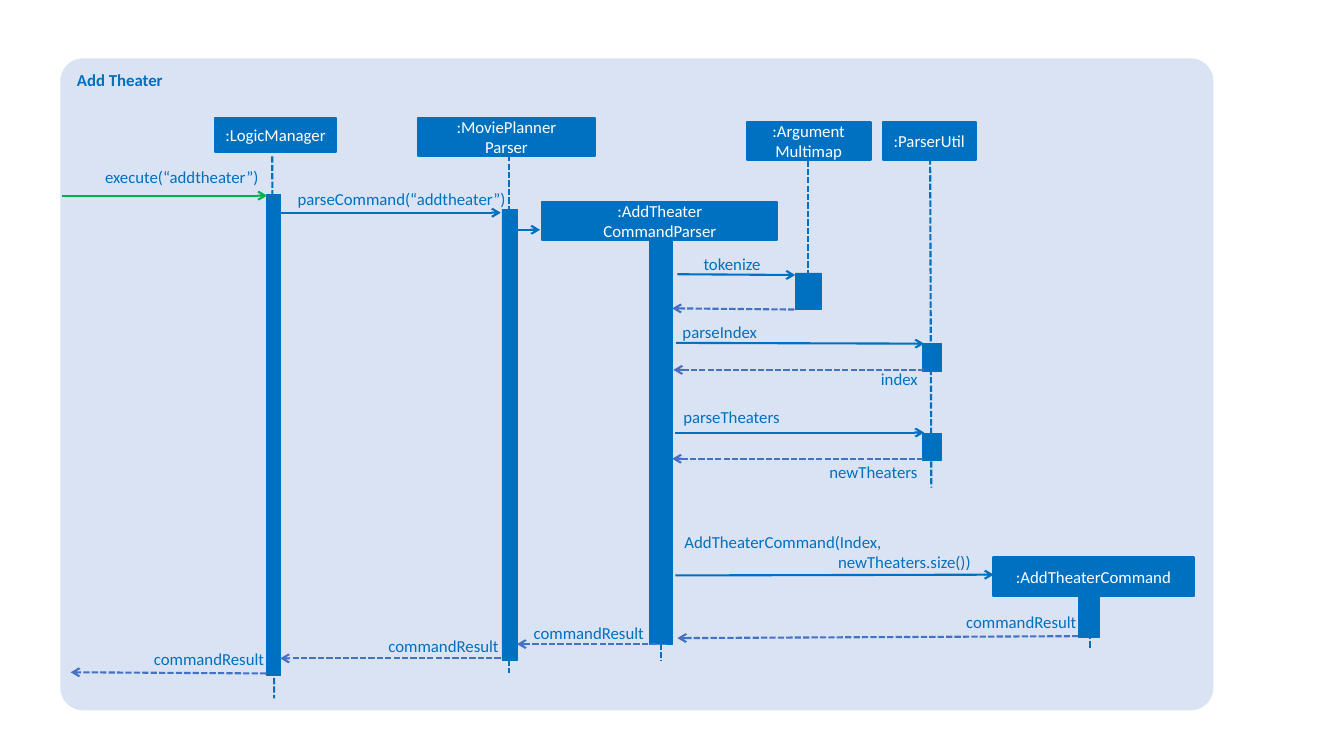
from dataclasses import dataclass

from lxml import etree
from pptx import Presentation
from pptx.dml.color import RGBColor
from pptx.enum.dml import MSO_LINE
from pptx.enum.shapes import MSO_CONNECTOR, MSO_SHAPE
from pptx.enum.text import MSO_ANCHOR, PP_ALIGN
from pptx.oxml.ns import qn
from pptx.util import Cm, Pt

BLUE, RETURN_BLUE, GREEN = "0070C0", "4472C4", "00B050"
PANEL, WHITE = "DAE3F3", "FFFFFF"
LEFT, CENTER, RIGHT = PP_ALIGN.LEFT, PP_ALIGN.CENTER, PP_ALIGN.RIGHT


@dataclass
class Box:
    """A filled rectangle in cm: a participant, or a bare activation bar."""
    x: float
    y: float
    w: float
    h: float
    text: str = ""


@dataclass
class Link:
    """A straight line in cm between two points."""
    x1: float
    y1: float
    x2: float
    y2: float
    color: str = BLUE


@dataclass
class Label:
    """A message caption in cm; second_indent shifts its second line."""
    x: float
    y: float
    w: float
    text: str
    align: PP_ALIGN = LEFT
    second_indent: float = 0


LIFELINES = [
    Link(6.86, 3.94, 6.91, 17.6),
    Link(12.83, 3.91, 12.83, 16.97),
    Link(16.66, 6.88, 16.66, 16.64),
    Link(20.37, 4.04, 20.37, 6.88),
    Link(23.44, 3.78, 23.47, 12.29),
    Link(27.46, 14.68, 27.46, 16.33),
]
ACTIVATIONS = [
    Box(6.71, 4.9, 0.36, 12.12),
    Box(12.65, 5.28, 0.38, 11.35),
    Box(16.36, 6.02, 0.58, 10.21),
    Box(20.04, 6.88, 0.66, 0.91),
    Box(23.24, 8.66, 0.48, 0.69),
    Box(23.24, 10.92, 0.48, 0.69),
    Box(27.18, 15.01, 0.53, 1.04),
]
PARTICIPANTS = [
    Box(5.41, 2.97, 3.07, 0.86, ":LogicManager"),
    Box(10.54, 2.97, 4.45, 0.97, ":MoviePlanner\nParser"),
    Box(13.67, 5.08, 5.92, 0.97, ":AddTheater\nCommandParser"),
    Box(18.82, 3.07, 3.12, 0.97, ":Argument\nMultimap"),
    Box(22.25, 3.07, 2.34, 0.97, ":ParserUtil"),
    Box(25.02, 14.05, 5.08, 0.97, ":AddTheaterCommand"),
]
CALLS = [
    Link(1.55, 4.93, 6.73, 4.93, GREEN),
    Link(6.91, 5.36, 12.62, 5.36),
    Link(13.03, 5.79, 13.61, 5.79),
    Link(17.07, 6.91, 20.04, 6.93),
    Link(17.04, 8.64, 23.29, 8.66),
    Link(17.02, 10.9, 23.29, 10.9),
    Link(17.02, 14.5, 25.04, 14.48),
]
RETURNS = [
    Link(20.02, 7.8, 16.94, 7.77, RETURN_BLUE),
    Link(23.29, 9.32, 16.97, 9.32, RETURN_BLUE),
    Link(23.27, 11.56, 16.94, 11.56, RETURN_BLUE),
    Link(27.18, 16.03, 17.07, 16.08, RETURN_BLUE),
    Link(16.54, 16.23, 13.03, 16.23, RETURN_BLUE),
    Link(12.62, 16.59, 7.06, 16.59, RETURN_BLUE),
    Link(6.71, 16.97, 1.78, 16.94, RETURN_BLUE),
]
LABELS = [
    Label(1.47, 4.19, 5.05, "execute(“addtheater”)", RIGHT),
    Label(6.4, 4.75, 6.35, "parseCommand(“addtheater”)", RIGHT),
    Label(17.73, 6.4, 2.84, "tokenize"),
    Label(17.2, 8.1, 2.84, "parseIndex"),
    Label(22.2, 9.3, 2.84, "index"),
    Label(17.22, 10.26, 2.84, "parseTheaters"),
    Label(20.9, 11.63, 2.84, "newTheaters"),
    Label(17.25, 13.39, 7.9, "AddTheaterCommand(Index,\nnewTheaters.size())",
          second_indent=3.87),
    Label(23.19, 15.42, 3.94, "commandResult", RIGHT),
    Label(13.36, 15.7, 2.87, "commandResult", RIGHT),
    Label(9.6, 16.03, 2.97, "commandResult", RIGHT),
    Label(3.05, 16.36, 3.61, "commandResult", RIGHT),
]


def rgb(color: str) -> RGBColor:
    """Turn a hex string into a colour."""
    return RGBColor.from_string(color)


def write(frame, text: str, color: str, align: PP_ALIGN, bold: bool = False) -> None:
    """Fill a text frame, one paragraph for each line of text."""
    frame.word_wrap = True
    frame.text = text
    for paragraph in frame.paragraphs:
        paragraph.alignment = align
        font = paragraph.runs[0].font
        font.name, font.size, font.bold = "Calibri", Pt(12), bold
        font.color.rgb = rgb(color)


def clear_insets(frame) -> None:
    """Remove the inner margins of a text frame."""
    frame.margin_left = frame.margin_right = Cm(0)
    frame.margin_top = frame.margin_bottom = Cm(0)


def draw_panel(slide) -> None:
    """Draw the rounded background with the diagram title."""
    panel = slide.shapes.add_shape(MSO_SHAPE.ROUNDED_RECTANGLE,
                                   Cm(1.52), Cm(1.47), Cm(29.06), Cm(16.43))
    panel.adjustments[0] = 0.035
    panel.shadow.inherit = False
    panel.fill.solid()
    panel.fill.fore_color.rgb = rgb(PANEL)
    panel.line.fill.background()
    panel.text_frame.vertical_anchor = MSO_ANCHOR.TOP
    write(panel.text_frame, "Add Theater", BLUE, LEFT, bold=True)


def draw_box(slide, box: Box) -> None:
    """Draw a participant or an activation bar."""
    shape = slide.shapes.add_shape(MSO_SHAPE.RECTANGLE,
                                   Cm(box.x), Cm(box.y), Cm(box.w), Cm(box.h))
    shape.shadow.inherit = False
    shape.fill.solid()
    shape.fill.fore_color.rgb = rgb(BLUE)
    shape.line.color.rgb = rgb(BLUE)
    shape.line.width = Pt(1.5 if box.text else 0.5)
    if box.text:
        clear_insets(shape.text_frame)
        shape.text_frame.vertical_anchor = MSO_ANCHOR.MIDDLE
        write(shape.text_frame, box.text, WHITE, CENTER)


def draw_link(slide, link: Link, dashed: bool, arrow: bool) -> None:
    """Draw a lifeline or a message, with an open arrowhead at its end."""
    connector = slide.shapes.add_connector(
        MSO_CONNECTOR.STRAIGHT, Cm(link.x1), Cm(link.y1), Cm(link.x2), Cm(link.y2))
    line = connector.line
    line.color.rgb = rgb(link.color)
    line.width = Pt(1.5)
    if dashed:
        line.dash_style = MSO_LINE.SQUARE_DOT
    properties = connector.element.spPr
    if arrow:
        etree.SubElement(properties.find(qn("a:ln")), qn("a:tailEnd"), type="arrow")
    etree.SubElement(properties, qn("a:effectLst"))


def draw_label(slide, label: Label) -> None:
    """Write a message caption."""
    height = 0.51 * len(label.text.split("\n"))
    frame = slide.shapes.add_textbox(
        Cm(label.x), Cm(label.y), Cm(label.w), Cm(height)).text_frame
    clear_insets(frame)
    write(frame, label.text, BLUE, label.align)
    if label.second_indent:
        second = frame.paragraphs[1].runs[0].font and frame.paragraphs[1]
        second.alignment = LEFT
        second._p.get_or_add_pPr().set("marL", str(int(Cm(label.second_indent))))


def main() -> None:
    """Build the sequence diagram and save it."""
    deck = Presentation()
    deck.slide_width, deck.slide_height = Cm(33.87), Cm(19.05)
    slide = deck.slides.add_slide(deck.slide_layouts[6])
    draw_panel(slide)
    for lifeline in LIFELINES:
        draw_link(slide, lifeline, dashed=True, arrow=False)
    for box in ACTIVATIONS + PARTICIPANTS:
        draw_box(slide, box)
    for call in CALLS:
        draw_link(slide, call, dashed=False, arrow=True)
    for reply in RETURNS:
        draw_link(slide, reply, dashed=True, arrow=True)
    for label in LABELS:
        draw_label(slide, label)
    deck.save("out.pptx")


main()
